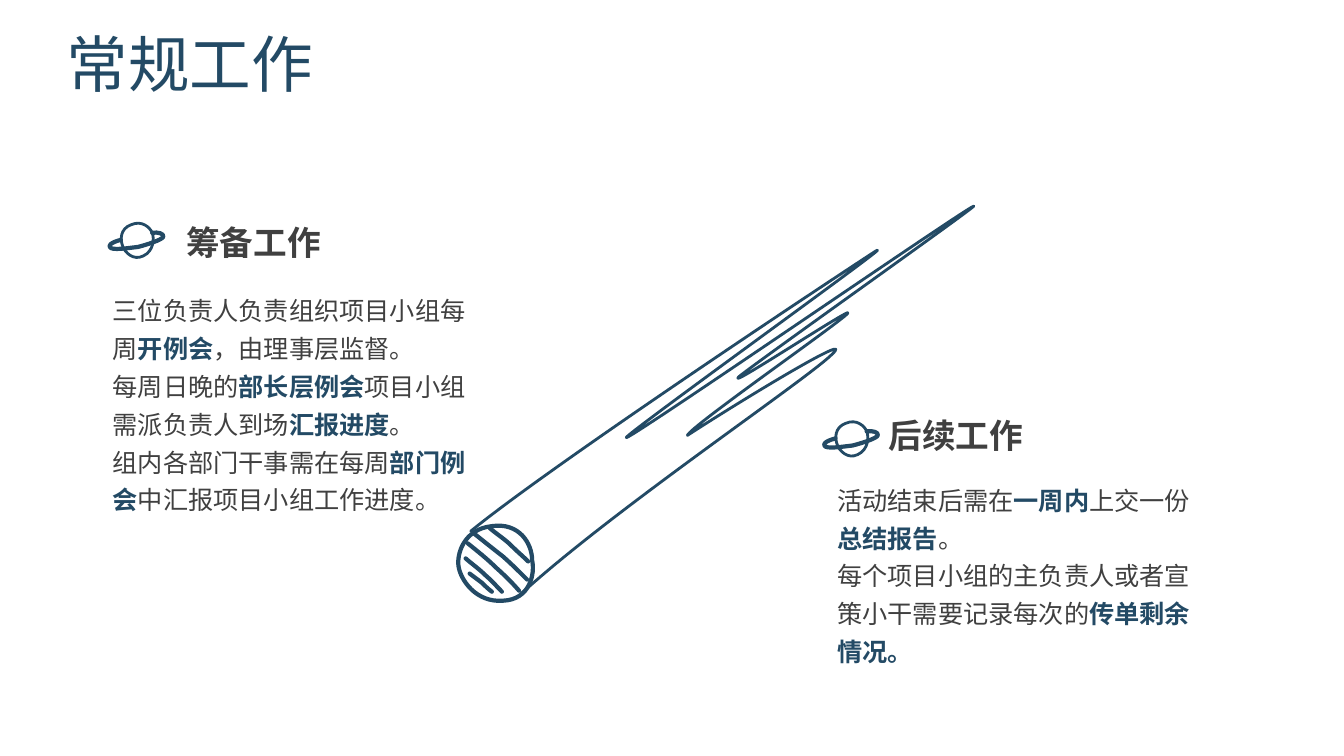
from lxml import etree
from pptx import Presentation
from pptx.dml.color import RGBColor
from pptx.enum.text import MSO_AUTO_SIZE, PP_ALIGN
from pptx.oxml.ns import qn
from pptx.util import Cm, Pt

JUSTIFY = PP_ALIGN.JUSTIFY
FIT_SHAPE = MSO_AUTO_SIZE.SHAPE_TO_FIT_TEXT
FONT, NAVY, GREY = "Noto Sans CJK JP", "234A65", "404040"

# Boxes are (left, top, width, height) in inches; **marks** set emphasis.
TITLE = ("常规工作", (0.66, 0.26, 5.04, 0.74))
SECTIONS = [
    {"heading": "筹备工作", "heading_box": (1.75, 2.15, 1.56, 0.5),
     "body_box": (1.02, 2.81, 3.78, 2.34), "planet": (0, 0),
     "body": ["三位负责人负责组织项目小组每周**开例会**，由理事层监督。",
              "每周日晚的**部长层例会**项目小组需派负责人到场**汇报进度**。",
              "组内各部门干事需在每周**部门例会**中汇报项目小组工作进度。"]},
    {"heading": "后续工作", "heading_box": (8.72, 4.07, 1.56, 0.5),
     "body_box": (8.21, 4.69, 3.78, 1.96), "planet": (7.09, 1.97),
     "body": ["活动结束后需在**一周内**上交一份**总结报告**。",
              "每个项目小组的主负责人或者宣策小干需要记录每次的**传单剩余情况。**"]},
]

# Outlines: (line width, closed, start point, cubic curves as x1 y1 x2 y2 x y).
PLANET = [
    (2, True, (1.51, 2.31), [
        (1.49, 2.26, 1.41, 2.18, 1.3, 2.23), (1.19, 2.27, 1.19, 2.38, 1.22, 2.45),
        (1.24, 2.5, 1.32, 2.59, 1.42, 2.54), (1.53, 2.49, 1.53, 2.36, 1.51, 2.31)]),
    (3, False, (1.51, 2.31), [
        (1.57, 2.3, 1.63, 2.32, 1.62, 2.35), (1.61, 2.38, 1.45, 2.43, 1.37, 2.45),
        (1.28, 2.46, 1.1, 2.49, 1.09, 2.45), (1.07, 2.41, 1.2, 2.38, 1.2, 2.38)]),
]
COMET = [
    (2, False, (4.67, 5.27), [
        (5.53, 4.57, 8.44, 2.65, 8.69, 2.49), (8.95, 2.34, 6.06, 4.41, 6.22, 4.34),
        (6.38, 4.27, 9.46, 2.15, 9.65, 2.05), (9.84, 1.94, 7.55, 3.56, 7.34, 3.73),
        (7.14, 3.91, 8.5, 3.01, 8.41, 3.11), (8.32, 3.21, 6.85, 4.23, 6.82, 4.32),
        (7.39, 3.95, 8.53, 3.26, 8.25, 3.52), (7.97, 3.79, 6.08, 5.06, 5.16, 5.9)]),
    (3, True, (4.55, 5.62), [
        (4.53, 5.5, 4.6, 5.25, 4.88, 5.22), (5.15, 5.18, 5.28, 5.39, 5.28, 5.56),
        (5.31, 5.69, 5.26, 5.95, 4.99, 5.96), (4.72, 5.98, 4.57, 5.75, 4.55, 5.62)]),
    (3, False, (4.98, 5.87), [
        (4.93, 5.82, 4.88, 5.76, 4.82, 5.71), (4.76, 5.65, 4.69, 5.6, 4.62, 5.54)]),
    (3, False, (5.23, 5.75), [
        (5.15, 5.67, 5.08, 5.6, 4.99, 5.52), (4.9, 5.45, 4.8, 5.37, 4.7, 5.29)]),
    (3, False, (5.24, 5.57), [
        (5.19, 5.52, 5.13, 5.47, 5.07, 5.41), (5.01, 5.35, 4.93, 5.3, 4.86, 5.24)]),
    (3, False, (5.15, 5.86), [
        (5.08, 5.78, 5.01, 5.71, 4.92, 5.63), (4.84, 5.55, 4.74, 5.47, 4.64, 5.39)]),
    (3, False, (4.88, 5.87), [
        (4.84, 5.84, 4.81, 5.81, 4.78, 5.78), (4.74, 5.75, 4.7, 5.72, 4.66, 5.69)]),
]


def inch(value):
    return Cm(value * 2.54)


def color(hex_code):
    return RGBColor.from_string(hex_code)


def bend_lines(sp, curves, left, top):
    """Turn each straight segment of a freeform into its cubic curve."""
    segments = list(sp.element.iter(qn("a:lnTo")))
    for segment, curve in zip(segments, curves):
        cubic = etree.Element(qn("a:cubicBezTo"))
        for x, y in curve:
            etree.SubElement(cubic, qn("a:pt"), x=str(x - left), y=str(y - top))
        segment.getparent().replace(segment, cubic)


def add_drawing(slide, outlines, offset=(0, 0)):
    group = slide.shapes.add_group_shape()
    dx, dy = offset
    for width, closed, (x0, y0), curves in outlines:
        start = (inch(x0 + dx), inch(y0 + dy))
        bends = [[(inch(x + dx), inch(y + dy)) for x, y in zip(c[::2], c[1::2])]
                 for c in curves]
        anchors = [start] + [bend[-1] for bend in bends]
        builder = group.shapes.build_freeform(*start)
        builder.add_line_segments(anchors[1:], close=closed)
        sp = builder.convert_to_shape()
        bend_lines(sp, bends, min(x for x, y in anchors), min(y for x, y in anchors))
        sp.shadow.inherit = False
        sp.fill.background()
        sp.line.color.rgb = color(NAVY)
        sp.line.width = Pt(width)
        ln = sp.element.spPr.find(qn("a:ln"))
        ln.set("cap", "rnd")
        etree.SubElement(ln, qn("a:round"))


def add_text(slide, paragraphs, box, size, fill=GREY, bold=False, wrap=True,
             spacing=None, align=None, inset=None):
    tf = slide.shapes.add_textbox(*map(inch, box)).text_frame
    tf.word_wrap = wrap
    tf.auto_size = FIT_SHAPE
    if inset is not None:
        tf.margin_left = tf.margin_right = tf.margin_top = tf.margin_bottom = Cm(inset)
    for i, text in enumerate(paragraphs):
        p = tf.add_paragraph() if i else tf.paragraphs[0]
        p.line_spacing = spacing
        p.alignment = align
        for j, part in enumerate(text.split("**")):
            if not part:
                continue
            marked = j % 2 == 1
            r = p.add_run()
            r.text = part
            r.font.size = Pt(size)
            r.font.bold = bold or marked
            r.font.color.rgb = color(NAVY if marked else fill)
            r.font.name = FONT
            etree.SubElement(r.font._element, qn("a:ea"), typeface=FONT)


def main():
    prs = Presentation()
    prs.slide_width, prs.slide_height = Cm(33.87), Cm(19.05)
    slide = prs.slides.add_slide(prs.slide_layouts[6])
    add_drawing(slide, COMET)
    for section in SECTIONS:
        add_drawing(slide, PLANET, section["planet"])
        add_text(slide, [section["heading"]], section["heading_box"], 24,
                 bold=True, wrap=False)
        add_text(slide, section["body"], section["body_box"], 18, spacing=1.25)
    title, title_box = TITLE
    add_text(slide, [title], title_box, 44, fill=NAVY, align=JUSTIFY, inset=0)
    prs.save("out.pptx")


if __name__ == "__main__":
    main()
